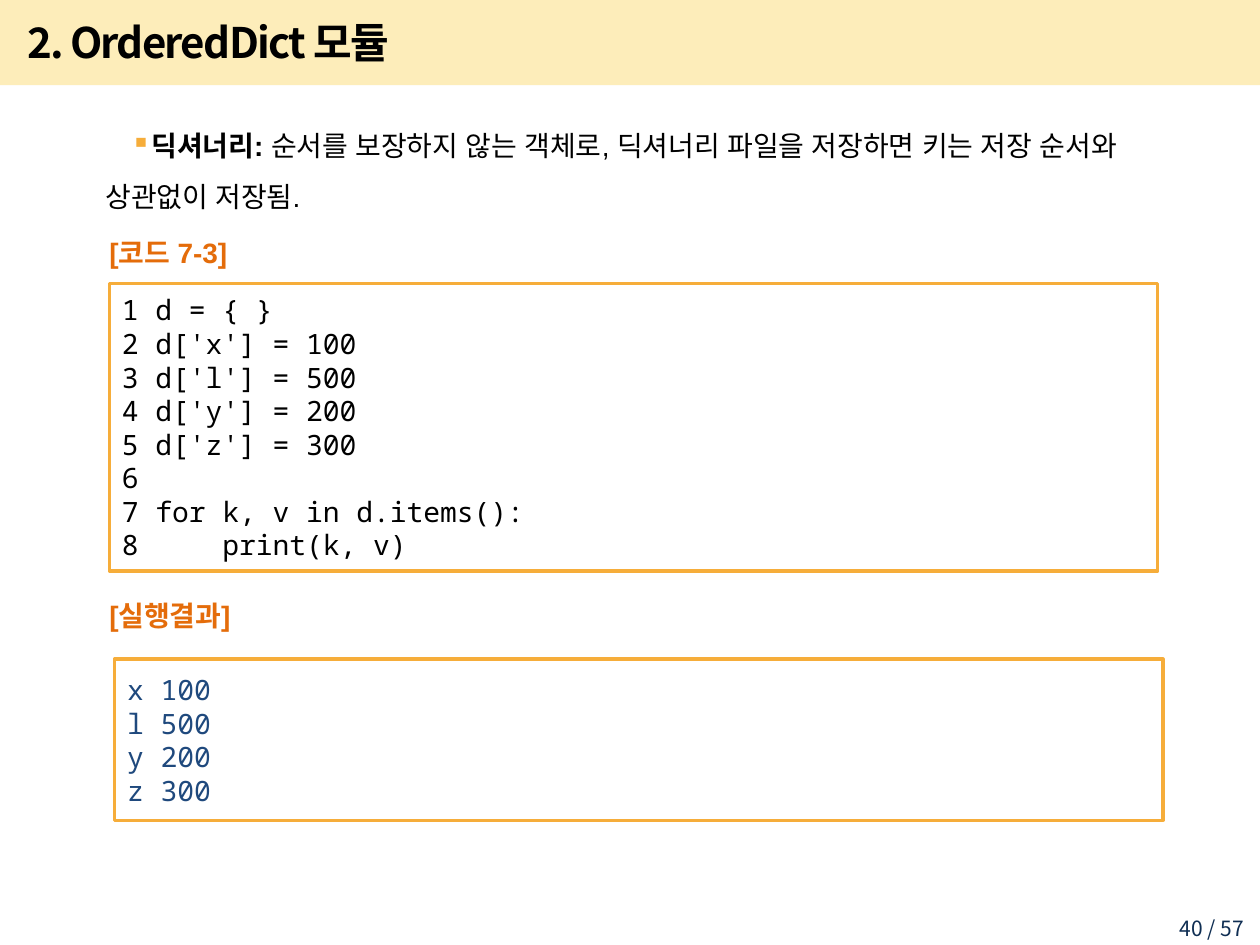
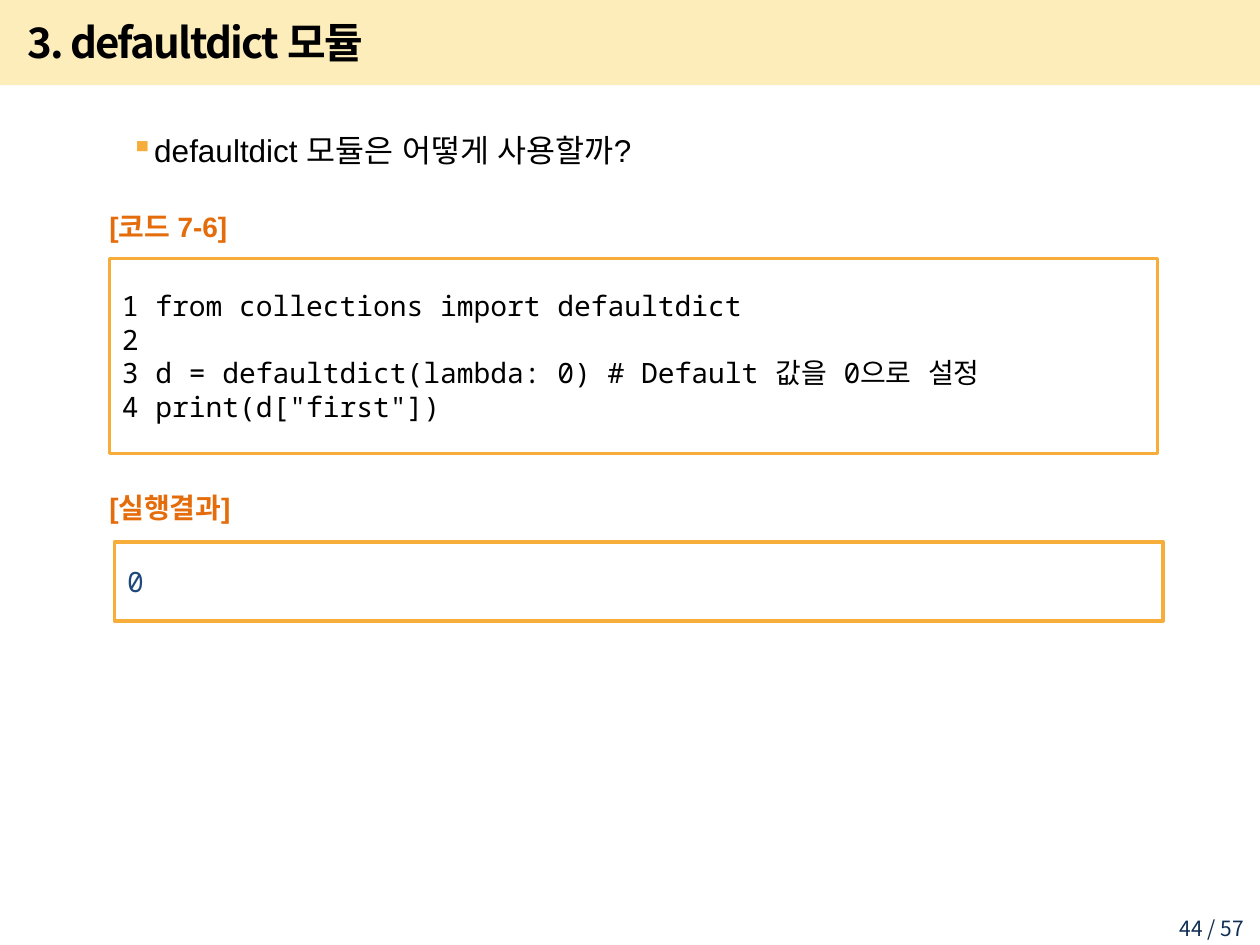
import pptx
import pptx.util
import pptx.dml.color
import pptx.enum.shapes
import pptx.enum.text
import pptx.oxml
import pptx.oxml.ns
import lxml.etree

Pt = pptx.util.Pt
qn = pptx.oxml.ns.qn
ANCHOR = pptx.enum.text.MSO_ANCHOR
ALIGN = pptx.enum.text.PP_ALIGN
RECT = pptx.enum.shapes.MSO_SHAPE.RECTANGLE

COLORS = {
    "band": "FABE00",
    "text": "000000",
    "frame": "F6AD3A",
    "label": "E46C0A",
    "result": "1F497D",
    "page": "0F2E53",
}
SANS, BODY, MONO = "Noto Sans CJK KR", "Arial", "Noto Sans Mono"

FORMATS = {
    "title": {"name": SANS, "size": Pt(24), "bold": True},
    "page": {"name": SANS, "size": Pt(12)},
    "lead": {"name": BODY, "size": Pt(16), "bold": True},
    "body": {"name": BODY, "size": Pt(16), "bold": False},
    "question": {"name": BODY, "size": Pt(18)},
    "label": {"name": BODY, "size": Pt(16), "bold": True},
    "code": {"name": MONO, "size": Pt(16)},
    "result": {"name": MONO, "size": Pt(16)},
}

SLIDES = [
    {
        "title": "2. OrderedDict 모듈",
        "page": "40 / 57",
        "body": [
            ("딕셔너리: ", "lead"),
            ("순서를 보장하지 않는 객체로, 딕셔너리 파일을 저장하면 키는 저장 순서와 상관없이 저장됨.", "body"),
        ],
        "labels": [("[코드 7-3]", 126, 36), ("[실행결과]", 331.9, 39.6)],
        "boxes": [
            ("code", 62.6, 162, 164.2, [
                "1 d = { }",
                "2 d['x'] = 100",
                "3 d['l'] = 500",
                "4 d['y'] = 200",
                "5 d['z'] = 300",
                "6",
                "7 for k, v in d.items():",
                "8     print(k, v)",
            ]),
            ("result", 65.5, 376.6, 92.2, ["x 100", "l 500", "y 200", "z 300"]),
        ],
    },
    {
        "title": "3. defaultdict 모듈",
        "page": "44 / 57",
        "body": [("defaultdict 모듈은 어떻게 사용할까?", "question")],
        "labels": [("[코드 7-6]", 111.6, 36), ("[실행결과]", 270, 39.6)],
        "boxes": [
            ("code", 62.6, 147.6, 111.6, [
                "1 from collections import defaultdict",
                "2",
                "3 d = defaultdict(lambda: 0) # Default 값을 0으로 설정",
                '4 print(d["first"])',
            ]),
            ("result", 65.5, 309.6, 45.4, ["0"]),
        ],
    },
]


def add_run(p, text, style):
    r = p.add_run()
    r.text = text
    for key, value in FORMATS[style].items():
        setattr(r.font, key, value)
    color = COLORS.get(style, COLORS["text"])
    r.font.fill.solid()
    r.font.fill.fore_color.rgb = pptx.dml.color.RGBColor.from_string(color)
    ea = lxml.etree.SubElement(r.font._element, qn("a:ea"))
    ea.set("typeface", FORMATS[style]["name"])
    return r


def add_text(s, left, top, width, height, anchor=ANCHOR.MIDDLE):
    sp = s.shapes.add_textbox(Pt(left), Pt(top), Pt(width), Pt(height))
    tf = sp.text_frame
    tf.word_wrap = True
    tf.vertical_anchor = anchor
    return tf.paragraphs[0]


prs = pptx.Presentation()
prs.slide_width = Pt(720)
prs.slide_height = Pt(540)

for data in SLIDES:
    s = prs.slides.add_slide(prs.slide_layouts[6])

    band = s.shapes.add_shape(RECT, 0, 0, prs.slide_width, Pt(48.6))
    band.shadow.inherit = False
    band.line.fill.background()
    band.fill.solid()
    band.fill.fore_color.rgb = pptx.dml.color.RGBColor.from_string(COLORS["band"])
    rgb = band._element.spPr.find(qn("a:solidFill"))[0]
    lxml.etree.SubElement(rgb, qn("a:alpha")).set("val", "27000")

    p = add_text(s, 651.6, 519.8, 66.2, 16.6, ANCHOR.TOP)
    p.alignment = ALIGN.RIGHT
    add_run(p, data["page"], "page")

    p = add_text(s, 8.6, 5, 612.7, 37.4)
    r = add_run(p, data["title"], "title")
    r.font._element.set("spc", "-100")

    p = add_text(s, 25.2, 60.5, 658.8, 479.5, ANCHOR.TOP)
    pPr = p._p.get_or_add_pPr()
    pPr.set("marL", str(Pt(28)))
    pPr.set("indent", str(Pt(14.4)))
    bullet_color = lxml.etree.SubElement(pPr, qn("a:buClr"))
    lxml.etree.SubElement(bullet_color, qn("a:srgbClr")).set("val", COLORS["frame"])
    lxml.etree.SubElement(pPr, qn("a:buChar")).set("char", "▪")
    p.line_spacing = 1.5
    for text, style in data["body"]:
        add_run(p, text, style)

    for text, top, height in data["labels"]:
        add_run(add_text(s, 55.4, top, 113, height), text, "label")

    for style, left, top, height, lines in data["boxes"]:
        sp = s.shapes.add_shape(RECT, Pt(left), Pt(top), Pt(599), Pt(height))
        sp.shadow.inherit = False
        sp.fill.background()
        sp.line.color.rgb = pptx.dml.color.RGBColor.from_string(COLORS["frame"])
        sp.line.width = Pt(2)
        tf = sp.text_frame
        tf.word_wrap = True
        tf.vertical_anchor = ANCHOR.MIDDLE
        for i, line in enumerate(lines):
            p = tf.add_paragraph() if i else tf.paragraphs[0]
            p.alignment = ALIGN.LEFT
            p.line_spacing = Pt(19.2)
            add_run(p, line, style)

prs.save("out.pptx")
